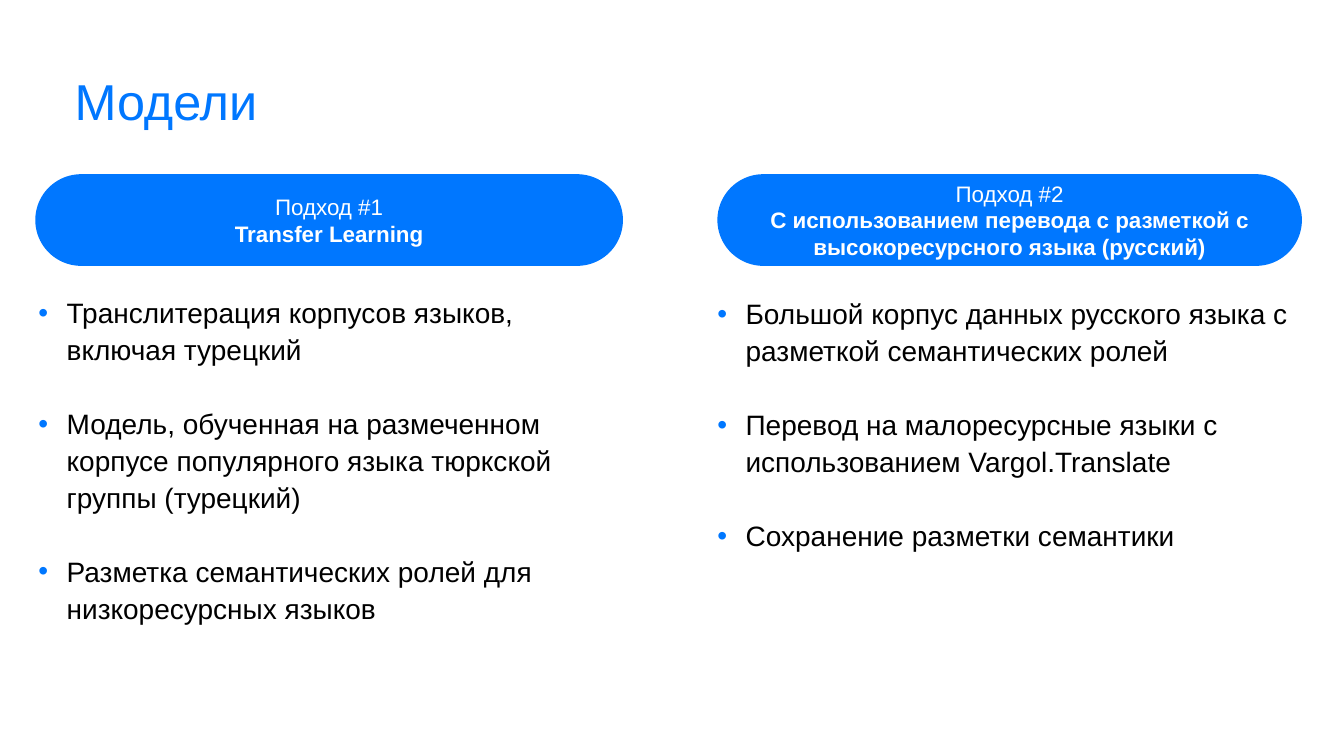
from lxml.etree import SubElement
from pptx import Presentation
from pptx.dml.color import RGBColor
from pptx.enum.shapes import MSO_SHAPE
from pptx.enum.text import MSO_ANCHOR, PP_ALIGN
from pptx.oxml.ns import qn
from pptx.util import Cm, Pt

COLORS = {"accent": "0077FF", "text": "000000", "white": "FFFFFF"}
FONT = "Arial"
BULLET_INDENT = Cm(0.71)
BULLET_GAP = Pt(26.4)

APPROACHES = [
    {
        "label": "Подход #1",
        "name": "Transfer Learning",
        "badge": (0.89, 14.81),
        "list": (0.97, 7.37),
        "points": [
            "Транслитерация корпусов языков, включая турецкий",
            "Модель, обученная на размеченном корпусе популярного языка тюркской группы (турецкий)",
            "Разметка семантических ролей для низкоресурсных языков",
        ],
    },
    {
        "label": "Подход #2",
        "name": "С использованием перевода с разметкой с высокоресурсного языка (русский)",
        "badge": (18.08, 14.73),
        "list": (18.08, 7.4),
        "points": [
            "Большой корпус данных русского языка с разметкой семантических ролей",
            "Перевод на малоресурсные языки с использованием Vargol.Translate",
            "Сохранение разметки семантики",
        ],
    },
]


def style_runs(paragraph, size, color, bold=False):
    for run in paragraph.runs:
        run.font.name = FONT
        run.font.size = Pt(size)
        run.font.bold = bold
        run.font.color.rgb = RGBColor.from_string(COLORS[color])


def add_text_frame(slide, left, top, width, height):
    frame = slide.shapes.add_textbox(Cm(left), Cm(top), Cm(width), Cm(height)).text_frame
    frame.word_wrap = True
    frame.margin_left = frame.margin_top = frame.margin_right = frame.margin_bottom = 0
    return frame


def add_title(slide, title):
    frame = add_text_frame(slide, 1.88, 1.93, 30.15, 1.78)
    frame.text = title
    heading = frame.paragraphs[0]
    heading.line_spacing = 0.9
    style_runs(heading, 36, "accent")


def add_badge(slide, left, width, label, name):
    badge = slide.shapes.add_shape(
        MSO_SHAPE.ROUNDED_RECTANGLE, Cm(left), Cm(4.39), Cm(width), Cm(2.31)
    )
    badge.adjustments[0] = 0.5
    badge.shadow.inherit = False
    badge.fill.solid()
    badge.fill.fore_color.rgb = RGBColor.from_string(COLORS["accent"])
    badge.line.fill.background()
    frame = badge.text_frame
    frame.word_wrap = True
    frame.vertical_anchor = MSO_ANCHOR.MIDDLE
    frame.text = f"{label}\n{name}"
    for paragraph, bold in zip(frame.paragraphs, (False, True)):
        paragraph.alignment = PP_ALIGN.CENTER
        style_runs(paragraph, 16, "white", bold)


def add_bullet(paragraph):
    properties = paragraph._p.get_or_add_pPr()
    properties.set("marL", str(BULLET_INDENT))
    properties.set("indent", str(-BULLET_INDENT))
    bullet_color = SubElement(properties, qn("a:buClr"))
    SubElement(bullet_color, qn("a:srgbClr"), val=COLORS["accent"])
    SubElement(properties, qn("a:buFont"), typeface=FONT)
    SubElement(properties, qn("a:buChar"), char="•")


def add_points(slide, left, top, points):
    frame = add_text_frame(slide, left, top, 14.73, 9.73)
    frame.text = "\n".join(points)
    for index, paragraph in enumerate(frame.paragraphs):
        add_bullet(paragraph)
        paragraph.line_spacing = 1.1
        paragraph.space_before = BULLET_GAP if index else Pt(0)
        style_runs(paragraph, 20, "text")


def main():
    presentation = Presentation()
    presentation.slide_width = Cm(33.87)
    presentation.slide_height = Cm(19.05)
    slide = presentation.slides.add_slide(presentation.slide_layouts[6])
    add_title(slide, "Модели")
    for approach in APPROACHES:
        add_badge(slide, *approach["badge"], approach["label"], approach["name"])
        add_points(slide, *approach["list"], approach["points"])
    presentation.save("out.pptx")


if __name__ == "__main__":
    main()
